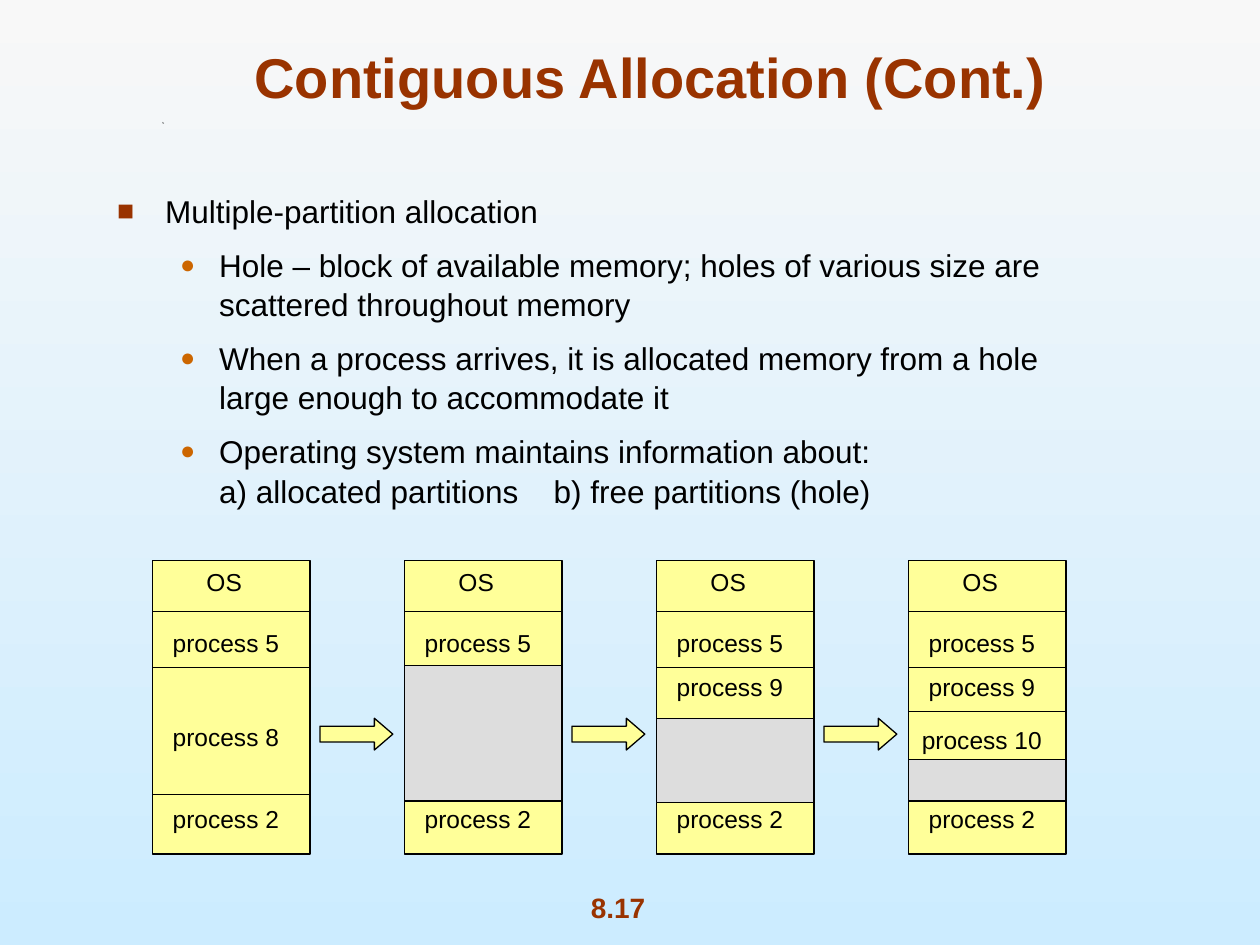
from lxml import etree
from pptx import Presentation
from pptx.dml.color import RGBColor
from pptx.enum.shapes import MSO_CONNECTOR, MSO_SHAPE
from pptx.enum.text import MSO_ANCHOR, PP_ALIGN
from pptx.oxml.ns import qn
from pptx.util import Cm, Pt

RUST = RGBColor(0x99, 0x33, 0x00)
ORANGE = RGBColor(0xCC, 0x66, 0x00)
BLACK = RGBColor(0x00, 0x00, 0x00)
YELLOW = RGBColor(0xFF, 0xFF, 0x99)
GRAY = RGBColor(0xDD, 0xDD, 0xDD)
SKY_TOP = RGBColor(0xF8, 0xF8, 0xF8)
SKY_BOTTOM = RGBColor(0xCC, 0xEC, 0xFF)

# Memory maps, in cm from the top left of each map
MAP_WIDTH, MAP_HEIGHT, MAP_PITCH = 3.18, 5.92, 5.08
DIVIDERS = [1.02, 2.16, 4.72]
SHARED_LABELS = [("process 5", 1.22), ("process 2", 4.78)]
# Each state: further labels, hole (top, height), further dividers
STATES = [
    ([("process 8", 3.12)], None, []),
    ([], (2.11, 2.74), []),
    ([("process 9", 2.11)], (3.18, 1.7), []),
    ([("process 9", 2.11), ("process 10", 3.18)], (4.01, 0.84), [3.05]),
]

GAP = " "
BULLETS = [
    (0, ["Multiple-partition allocation"]),
    (1, ["Hole – block of available memory; holes of various size are "
         "scattered throughout memory"]),
    (1, ["When a process arrives, it is allocated memory from a hole "
         "large enough to accommodate it"]),
    (1, ["Operating system maintains information about:\v"
         "a) allocated partitions", GAP, "b) free partitions (hole)"]),
]
# Left margin (cm), hanging indent (cm), bullet, bullet size, bullet colour
LEVELS = [(0.97, 0.97, "■", 90, RUST), (2.06, 0.79, "●", 80, ORANGE)]


def paint_background(slide):
    fill = slide.background.fill
    fill.gradient()
    fill.gradient_angle = 270
    for stop, color in zip(fill.gradient_stops, (SKY_TOP, SKY_BOTTOM)):
        stop.color.rgb = color


def add_run(paragraph, text, size, color=BLACK, bold=False):
    run = paragraph.add_run()
    run.text = text
    run.font.name = "Arial"
    run.font.size = Pt(size)
    run.font.bold = bold
    run.font.color.rgb = color
    return run


def add_label(slide, text, left, top, width, height, size=14, color=BLACK,
              bold=False, anchor=MSO_ANCHOR.MIDDLE, wrap=True):
    box = slide.shapes.add_textbox(Cm(left), Cm(top), Cm(width), Cm(height))
    frame = box.text_frame
    frame.word_wrap = wrap
    frame.vertical_anchor = anchor
    paragraph = frame.paragraphs[0]
    paragraph.alignment = PP_ALIGN.CENTER
    add_run(paragraph, text, size, color, bold)


def add_block(slide, kind, left, top, width, height, color):
    block = slide.shapes.add_shape(kind, Cm(left), Cm(top), Cm(width), Cm(height))
    block.shadow.inherit = False
    block.fill.solid()
    block.fill.fore_color.rgb = color
    block.line.color.rgb = BLACK
    block.line.width = Pt(0.75)
    return block


def add_divider(slide, left, top, width):
    divider = slide.shapes.add_connector(
        MSO_CONNECTOR.STRAIGHT, Cm(left), Cm(top), Cm(left + width), Cm(top))
    divider.line.color.rgb = BLACK
    divider.line.width = Pt(0.75)
    etree.SubElement(divider._element.spPr, qn("a:effectLst"))


def add_speck(slide, left, top, size):
    """Tiny black mark below the title."""
    builder = slide.shapes.build_freeform(Cm(left), Cm(top + size))
    builder.add_line_segments(
        [(Cm(left), Cm(top)), (Cm(left + size), Cm(top + size))], close=True)
    speck = builder.convert_to_shape()
    speck.shadow.inherit = False
    speck.fill.solid()
    speck.fill.fore_color.rgb = BLACK
    speck.line.fill.background()


def set_bullet(paragraph, level):
    margin, hanging, mark, percent, color = LEVELS[level]
    paragraph.level = level
    properties = paragraph._p.get_or_add_pPr()
    properties.set("marL", str(Cm(margin)))
    properties.set("indent", str(-Cm(hanging)))
    bullet_color = etree.SubElement(properties, qn("a:buClr"))
    etree.SubElement(bullet_color, qn("a:srgbClr"), val=str(color))
    etree.SubElement(properties, qn("a:buSzPct"), val=str(percent * 1000))
    etree.SubElement(properties, qn("a:buFont"), typeface="Arial")
    etree.SubElement(properties, qn("a:buChar"), char=mark)


def add_bullets(slide, left, top, width, height):
    box = slide.shapes.add_textbox(Cm(left), Cm(top), Cm(width), Cm(height))
    frame = box.text_frame
    frame.word_wrap = True
    for number, (level, parts) in enumerate(BULLETS):
        paragraph = frame.add_paragraph() if number else frame.paragraphs[0]
        set_bullet(paragraph, level)
        paragraph.line_spacing = 1.05
        if number:
            paragraph.space_before = Pt(7.9)
        for part in parts:
            for index, line in enumerate(part.split("\v")):
                if index:
                    paragraph.add_line_break()
                run = add_run(paragraph, line, 18)
                if part == GAP:
                    run._r.get_or_add_rPr().set("spc", "1500")


def add_memory_map(slide, left, top, labels, hole, extra_dividers):
    add_block(slide, MSO_SHAPE.RECTANGLE, left, top, MAP_WIDTH, MAP_HEIGHT, YELLOW)
    for offset in DIVIDERS + extra_dividers:
        add_divider(slide, left, top + offset, MAP_WIDTH)
    if hole:
        offset, height = hole
        add_block(slide, MSO_SHAPE.RECTANGLE, left, top + offset,
                  MAP_WIDTH, height, GRAY)
    add_label(slide, "OS", left + 0.84, top, 1.22, 0.86, wrap=False)
    for text, offset in SHARED_LABELS + labels:
        add_label(slide, text, left, top + offset, 2.97, 0.86)


def add_memory_sequence(slide, left, top):
    for number, state in enumerate(STATES):
        map_left = left + number * MAP_PITCH
        add_memory_map(slide, map_left, top, *state)
        if number < len(STATES) - 1:
            arrow = add_block(slide, MSO_SHAPE.RIGHT_ARROW, map_left + 3.38,
                              top + 3.18, 1.47, 0.64, YELLOW)
            arrow.adjustments[1] = 0.58


def main():
    presentation = Presentation()
    presentation.slide_width, presentation.slide_height = Cm(25.4), Cm(19.05)
    slide = presentation.slides.add_slide(presentation.slide_layouts[6])
    paint_background(slide)
    add_label(slide, "8.17", 10.62, 17.83, 3.68, 0.94, 16, RUST, True,
              MSO_ANCHOR.TOP, wrap=False)
    add_speck(slide, 3.28, 2.46, 0.03)
    add_label(slide, "Contiguous Allocation (Cont.)", 1.9, 0.64, 22.43, 1.7,
              32, RUST, True, MSO_ANCHOR.BOTTOM)
    add_bullets(slide, 2.11, 3.71, 20.42, 7.24)
    add_memory_sequence(slide, 3.07, 11.3)
    presentation.save("out.pptx")


if __name__ == "__main__":
    main()
